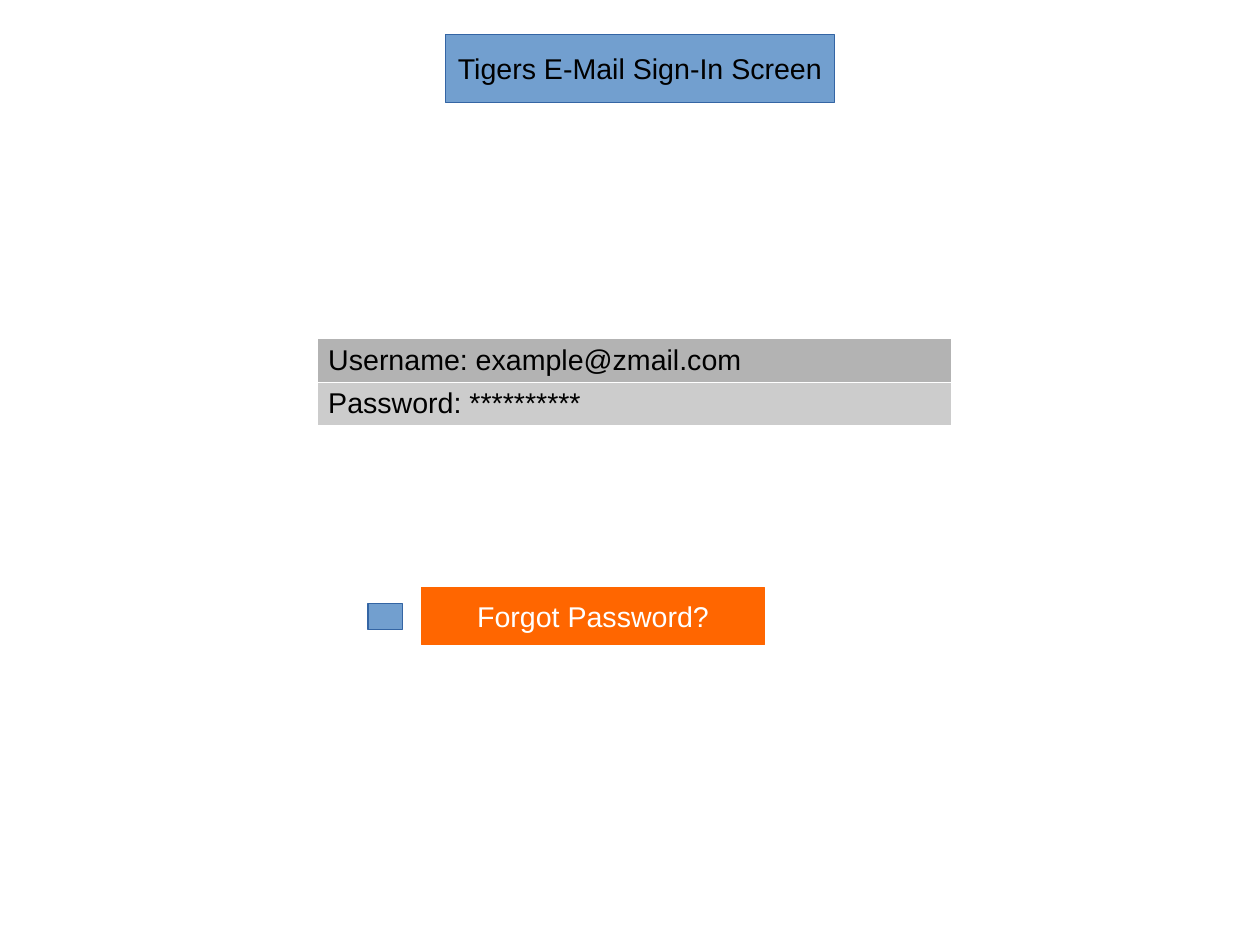
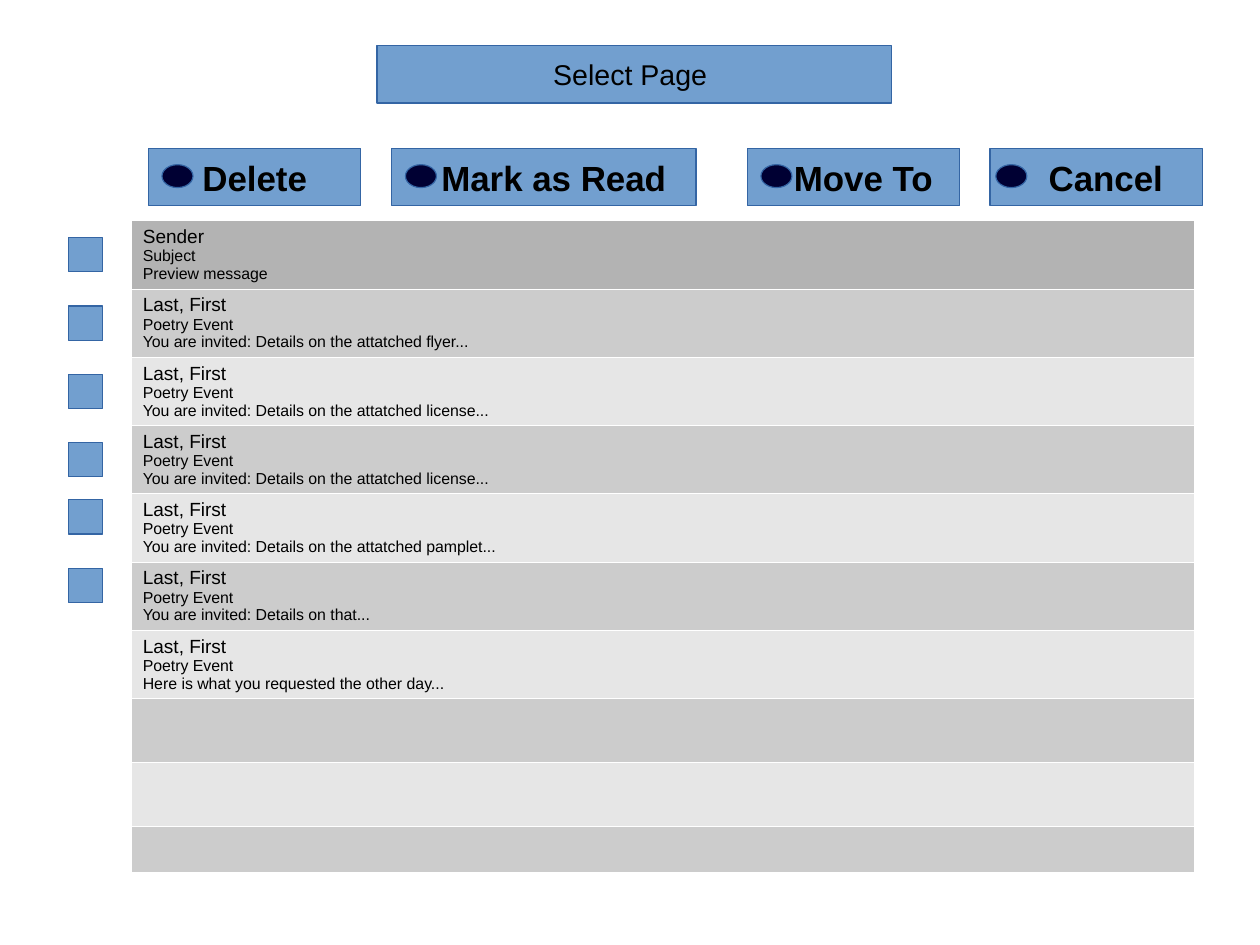
from lxml.etree import SubElement
from pptx import Presentation
from pptx.dml.color import RGBColor
from pptx.enum.shapes import MSO_SHAPE as SHAPE
from pptx.enum.text import MSO_ANCHOR as ANCHOR, PP_ALIGN as ALIGN
from pptx.oxml.ns import qn
from pptx.util import Cm, Pt

BLUE, BLUE_LINE, ORANGE, NAVY = "729FCF", "3465A4", "FF6600", "000033"
BLACK, WHITE = "000000", "FFFFFF"
HEADER, BANDS = "B3B3B3", ("CCCCCC", "E6E6E6")
BORDER = Pt(0.06)
rgb = RGBColor.from_string


def write(tf, lines, color=BLACK, bold=False, align=ALIGN.LEFT):
    """Fill a text frame with one paragraph per (text, size) pair."""
    for i, (text, size) in enumerate(lines):
        p = tf.paragraphs[0] if i == 0 else tf.add_paragraph()
        p.alignment = align
        r = p.add_run()
        r.text = text
        for name, value in {"name": "Arial", "size": Pt(size), "bold": bold}.items():
            setattr(r.font, name, value)
        r.font.color.rgb = rgb(color)


def add_box(s, rect, text="", size=18, kind=SHAPE.RECTANGLE, fill=BLUE,
            line=BLUE_LINE, color=BLACK, bold=False, left=0.25, right=0.25):
    """Draw a shape with centred text; left and right are its insets in cm."""
    sp = s.shapes.add_shape(kind, *map(Cm, rect))
    sp.shadow.inherit = False
    sp.fill.solid()
    sp.fill.fore_color.rgb = rgb(fill)
    sp.line.color.rgb = rgb(line)
    sp.line.width = Pt(0)
    if text:
        tf = sp.text_frame
        layout = {"word_wrap": False, "vertical_anchor": ANCHOR.MIDDLE,
                  "margin_left": Cm(left), "margin_right": Cm(right)}
        for name, value in layout.items():
            setattr(tf, name, value)
        write(tf, [(text, size)], color, bold, ALIGN.CENTER)


prs = Presentation()
prs.slide_width, prs.slide_height = Cm(28), Cm(21)
sign_in, inbox = (prs.slides.add_slide(prs.slide_layouts[6]) for _ in range(2))

# Titles
add_box(sign_in, (9.9, 0.76, 8.64, 1.52), "Tigers E-Mail Sign-In Screen")
add_box(inbox, (8.38, 1.02, 11.43, 1.27), "Select Page", right=0.43)

# Tables: each row is a list of (text, size) lines
credentials = [[("Username: example@zmail.com", 18)], [("Password: **********", 18)]]
previews = [
    "You are invited: Details on the attatched flyer...",
    "You are invited: Details on the attatched license...",
    "You are invited: Details on the attatched license...",
    "You are invited: Details on the attatched pamplet...",
    "You are invited: Details on that...",
    "Here is what you requested the other day...",
]
messages = [("Sender", "Subject", "Preview message")]
messages += [("Last, First", "Poetry Event", preview) for preview in previews]
mail_rows = [list(zip(message, (12, 10, 10))) for message in messages] + [[]] * 3

for s, x, y, width, heights, rows in (
    (sign_in, 7.04, 7.52, 14.1, [0.95] * 2, credentials),
    (inbox, 2.92, 4.9, 23.62, [1.42] * 9 + [1], mail_rows),
):
    tbl = s.shapes.add_table(len(rows), 1, Cm(x), Cm(y), Cm(width), Cm(sum(heights))).table
    tbl.first_row = tbl.horz_banding = False
    for i, (height, lines) in enumerate(zip(heights, rows)):
        tbl.rows[i].height = Cm(height)
        cell = tbl.cell(i, 0)
        write(cell.text_frame, lines)
        tc_pr = cell._tc.get_or_add_tcPr()
        for side in ("a:lnL", "a:lnR", "a:lnT", "a:lnB"):
            ln = SubElement(tc_pr, qn(side), w=str(BORDER))
            SubElement(SubElement(ln, qn("a:solidFill")), qn("a:srgbClr"), val=WHITE)
        cell.fill.solid()
        cell.fill.fore_color.rgb = rgb(BANDS[(i - 1) % 2] if i else HEADER)

# Password reminder
add_box(sign_in, (8.18, 13.41, 0.76, 0.58))
add_box(sign_in, (9.37, 13.06, 7.62, 1.27), "Forgot Password?",
        fill=ORANGE, line=ORANGE, color=WHITE)

# Message check boxes; the last two sit slightly higher
for i in range(6):
    add_box(inbox, (1.52, 5.28 + 1.52 * i - (0.25 if i > 3 else 0), 0.76, 0.76))

# Action buttons, each with a dot
for label, x, width, dot_gap, left in (
    ("Delete", 3.3, 4.72, 0.3, 0.25),
    ("Mark as Read", 8.71, 6.76, 0.3, 0.68),
    ("Move To", 16.61, 4.72, 0.3, 0.68),
    ("Cancel", 22, 4.72, 0.13, 0.68),
):
    add_box(inbox, (x, 3.3, width, 1.27), label, size=22, bold=True, left=left)
    add_box(inbox, (x + dot_gap, 3.66, 0.69, 0.51), kind=SHAPE.OVAL, fill=NAVY)

prs.save("out.pptx")
